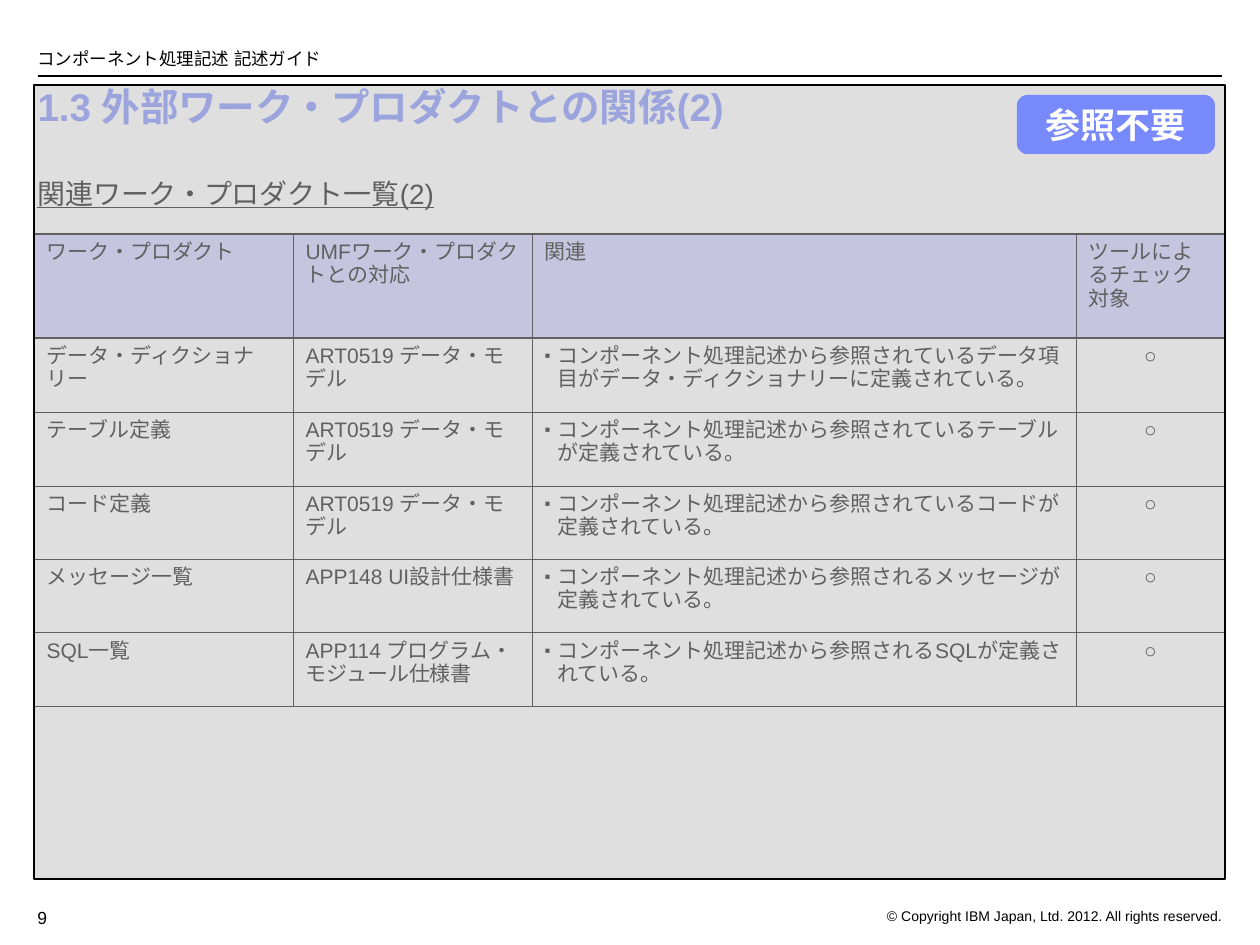
from lxml.etree import SubElement
from pptx import Presentation
from pptx.dml.color import RGBColor
from pptx.enum.shapes import MSO_CONNECTOR, MSO_SHAPE
from pptx.enum.text import MSO_ANCHOR as ANCHOR, MSO_AUTO_SIZE, PP_ALIGN as ALIGN
from pptx.oxml import parse_xml
from pptx.oxml.ns import nsdecls, qn
from pptx.util import Emu, Pt

PX = 914400 / 126
rgb = RGBColor.from_string


def px(*lengths):
    """Turn pixels into a list of EMU lengths."""
    return [Emu(round(n * PX)) for n in lengths]


def write(tf, text, size, color="000000", align=ALIGN.LEFT, **font):
    """Fill a text frame with one paragraph and return the paragraph."""
    p = tf.paragraphs[0]
    p.alignment = align
    r = p.add_run()
    r.text = text
    r.font.color.rgb = rgb(color)
    for name, value in {"name": "Arial", "size": Pt(size), **font}.items():
        setattr(r.font, name, value)
    for script in ("ea", "cs"):
        SubElement(r._r.get_or_add_rPr(), qn(f"a:{script}"), typeface="Arial")
    return p


prs = Presentation()
prs.slide_width, prs.slide_height = px(1260, 945)
s = prs.slides.add_slide(prs.slide_layouts[5])
shapes = s.shapes

# Header rule
rule = shapes.add_connector(MSO_CONNECTOR.STRAIGHT, *px(38, 76, 1222, 76))
rule.line.color.rgb = rgb("000000")
rule.line.width = Pt(0.75)
SubElement(rule._element.spPr, qn("a:effectLst"))

# Title
title = shapes.title
title.left, title.top, title.width, title.height = px(25, 82, 1197, 63)
tf = title.text_frame
tf.auto_size = MSO_AUTO_SIZE.NONE
tf.vertical_anchor = ANCHOR.TOP
p = write(tf, "1.3 外部ワーク・プロダクトとの関係(2)", 22, "7889FB", bold=True)
p.line_spacing = 0.9

# Header, footer and subtitle: box, text, size, format
labels = [
    ((789, 901, 446, 25), "© Copyright IBM Japan, Ltd. 2012. All rights reserved.", 8,
     {"align": ALIGN.RIGHT}),
    ((25, 19, 942, 50), "コンポーネント処理記述 記述ガイド", 10, {}),
    ((25, 901, 60, 25), "9", 10, {}),
    ((25, 170, 1197, 718), "関連ワーク・プロダクト一覧(2)", 16, {"underline": True}),
]
for box, text, size, fmt in labels:
    tf = shapes.add_textbox(*px(*box)).text_frame
    tf.word_wrap = True
    if box[1] < 76:
        tf.vertical_anchor = ANCHOR.BOTTOM
        tf.margin_top = tf.margin_bottom = 0
    write(tf, text, size, **fmt)

# Table of related work products
rows = [
    ("ワーク・プロダクト", "UMFワーク・プロダクトとの対応", "関連", "ツールによるチェック対象"),
    ("データ・ディクショナリー", "ART0519 データ・モデル",
     "コンポーネント処理記述から参照されているデータ項目がデータ・ディクショナリーに定義されている。", "○"),
    ("テーブル定義", "ART0519 データ・モデル",
     "コンポーネント処理記述から参照されているテーブルが定義されている。", "○"),
    ("コード定義", "ART0519 データ・モデル",
     "コンポーネント処理記述から参照されているコードが定義されている。", "○"),
    ("メッセージ一覧", "APP148 UI設計仕様書",
     "コンポーネント処理記述から参照されるメッセージが定義されている。", "○"),
    ("SQL一覧", "APP114 プログラム・モジュール仕様書",
     "コンポーネント処理記述から参照されるSQLが定義されている。", "○"),
]
col_widths = px(259, 239, 544, 149)
row_heights = px(104, 74, 74, 73, 74, 74)
table = shapes.add_table(len(rows), len(col_widths), *px(34, 234, 1191, 473)).table
for col, width in zip(table.columns, col_widths):
    col.width = width
for row, height in zip(table.rows, row_heights):
    row.height = height

last_col = len(col_widths) - 1
for i, row in enumerate(rows):
    for j, text in enumerate(row):
        cell = table.cell(i, j)
        cell.margin_left = cell.margin_right = Pt(7.2)
        cell.margin_top = cell.margin_bottom = Pt(3.6)
        tc_pr = cell._tc.get_or_add_tcPr()
        borders = {
            "L": 0.45 if j else 0,
            "R": 0.45 if j < last_col else 0,
            "T": 1.08 if i < 2 else 0.45,
            "B": 0.45 if i else 1.08,
        }
        for side, width in borders.items():
            ln = SubElement(tc_pr, qn(f"a:ln{side}"), w=str(Pt(width)))
            if width:
                fill = SubElement(ln, qn("a:solidFill"))
                SubElement(fill, qn("a:srgbClr"), val="000000")
            else:
                SubElement(ln, qn("a:noFill"))
        if i == 0:
            cell.fill.solid()
            cell.fill.fore_color.rgb = rgb("CCCCFF")
        else:
            cell.fill.background()

        p = cell.text_frame.paragraphs[0]
        if i and j == 2:
            p_pr = p._p.get_or_add_pPr()
            p_pr.set("marL", "91440")
            p_pr.set("indent", "-91440")
            for bullet in ('<a:buClr {}><a:srgbClr val="000000"/></a:buClr>',
                           '<a:buSzPct {} val="80000"/>',
                           '<a:buFont {} typeface="Arial"/>',
                           '<a:buChar {} char="▪"/>'):
                p_pr.append(parse_xml(bullet.format(nsdecls("a"))))
        centred = i and j == last_col
        write(cell.text_frame, text, 12, align=ALIGN.CENTER if centred else ALIGN.LEFT)

# Grey veil over the content
veil = shapes.add_shape(MSO_SHAPE.RECTANGLE, *px(34, 85, 1191, 794))
veil.shadow.inherit = False
veil.fill.solid()
veil.fill.fore_color.rgb = rgb("C0C0C0")
veil_color = veil._element.spPr.find(qn("a:solidFill"))[0]
SubElement(veil_color, qn("a:alpha"), val="50000")
veil.line.color.rgb = rgb("000000")
veil.line.width = Pt(0.75)

# Badge
badge = shapes.add_shape(MSO_SHAPE.ROUNDED_RECTANGLE, *px(1017, 95, 198, 59))
badge.shadow.inherit = False
badge.adjustments[0] = 0.17
badge.fill.solid()
badge.fill.fore_color.rgb = rgb("7889FB")
badge.line.fill.background()
tf = badge.text_frame
tf.word_wrap = False
tf.vertical_anchor = ANCHOR.MIDDLE
write(tf, "参照不要", 20, "FFFFFF", ALIGN.CENTER, bold=True)

prs.save("out.pptx")
